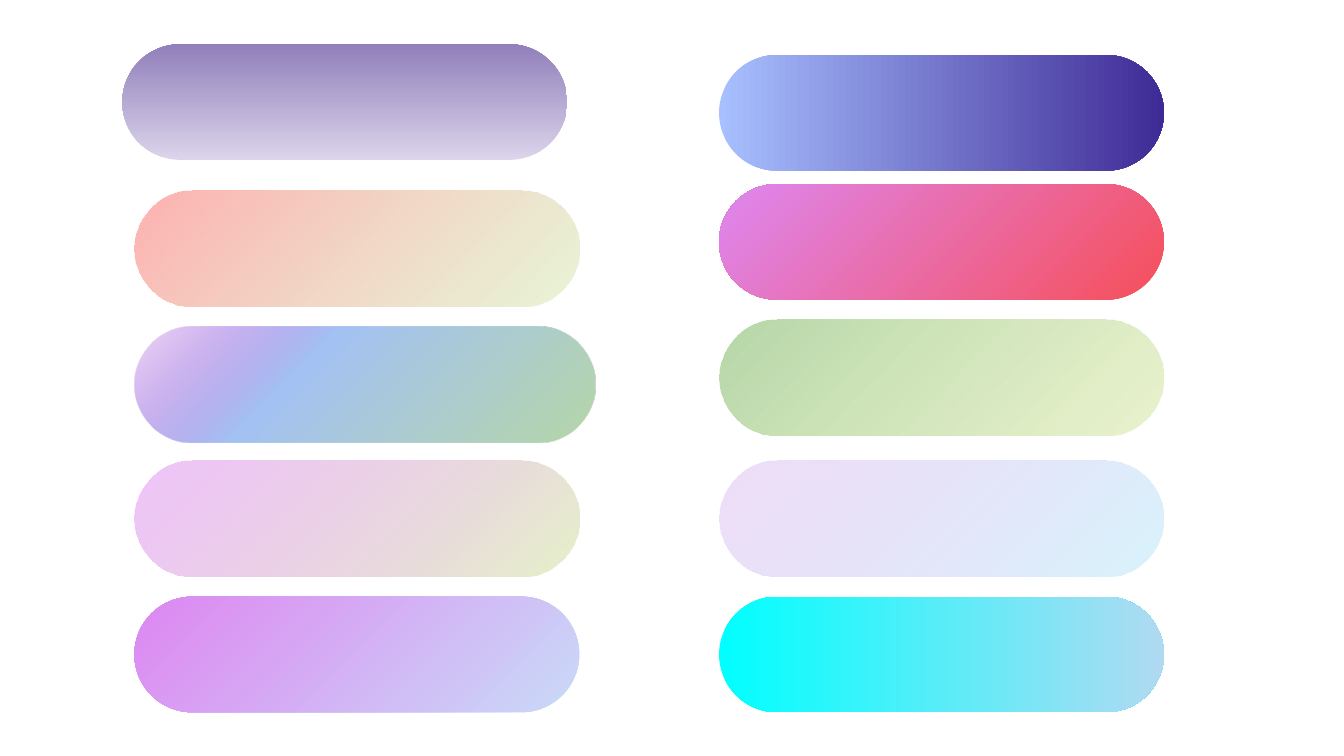
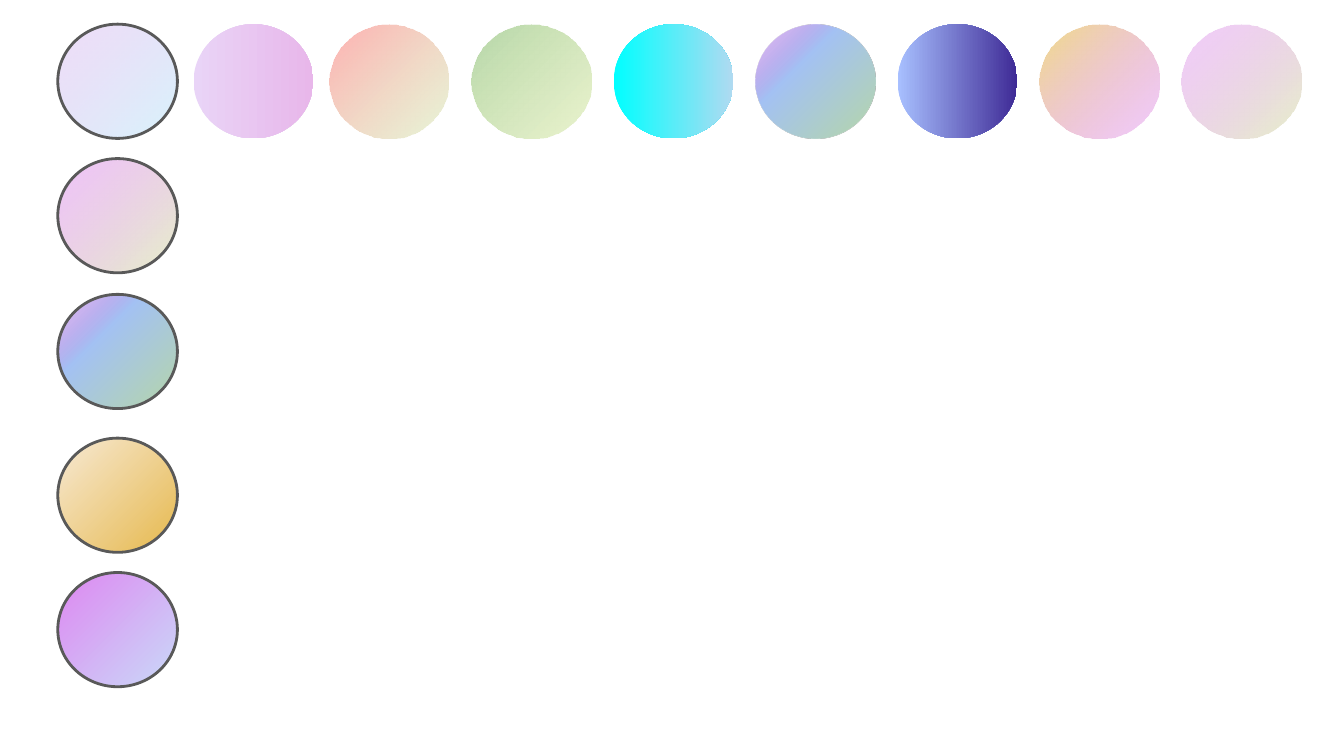
from lxml import etree
from pptx import Presentation
from pptx.dml.color import RGBColor
from pptx.enum.shapes import MSO_SHAPE
from pptx.oxml.ns import qn
from pptx.util import Inches, Pt

PILL, CIRCLE = MSO_SHAPE.ROUNDED_RECTANGLE, MSO_SHAPE.OVAL
BLANK_LAYOUT = 6
SLIDE_W, SLIDE_H = 10, 5.625

COLORS = {
    "outline": "595959", "lilac mist": "DBD4EB", "dusk": "9180BB",
    "periwinkle": "A8C0FF", "indigo": "3F2B96", "lime": "D8EDBA",
    "salmon": "FE9696", "sage": "B6D7A8", "sky": "A4C2F4",
    "violet": "9F39D5", "pistachio": "E0EDBA", "orchid": "DE87F1",
    "pale blue": "C9DAF8", "red": "F64F59", "azure": "69D4F4",
    "cyan": "00FFFF", "ice": "B0DAF1", "pale lilac": "E9D4F7",
    "pink": "E8B7EA", "butter": "F1DD87", "cream": "F7E9D4", "gold": "E6B94E",
}

# Gradient: clockwise angle, then stops of (position %, colour, opacity %)
GRADIENTS = {
    "dusk": (270, (0, "lilac mist", 100), (100, "dusk", 100)),
    "night": (0, (0, "periwinkle", 100), (100, "indigo", 100)),
    "peach": (225, (0, "lime", 58), (100, "salmon", 74)),
    "lagoon": (225, (0, "sage", 100), (64, "sky", 100), (100, "violet", 17)),
    "blossom": (225, (0, "pistachio", 79), (100, "orchid", 48)),
    "soft blossom": (225, (0, "pistachio", 79), (100, "orchid", 40)),
    "orchid": (225, (0, "pale blue", 100), (100, "orchid", 100)),
    "sunset": (225, (0, "red", 100), (100, "orchid", 100)),
    "meadow": (225, (0, "pistachio", 71), (100, "sage", 100)),
    "frost": (225, (0, "azure", 26), (100, "violet", 17)),
    "aqua": (0, (0, "cyan", 100), (100, "ice", 100)),
    "candy": (0, (0, "pale lilac", 100), (100, "pink", 100)),
    "sherbet": (225, (0, "orchid", 40), (100, "butter", 100)),
    "honey": (45, (0, "cream", 100), (100, "gold", 100)),
}

# Slide 1: two columns of pills as (gradient, left, top, width)
PILL_W, PILL_H = 3.31, 0.86
LEFT_X, RIGHT_X = 1, 5.35
PILLS = [
    ("dusk", 0.91, 0.33, PILL_W),
    ("night", RIGHT_X, 0.41, PILL_W),
    ("peach", LEFT_X, 1.42, PILL_W),
    ("lagoon", LEFT_X, 2.43, 3.43),
    ("blossom", LEFT_X, 3.43, PILL_W),
    ("orchid", LEFT_X, 4.44, PILL_W),
    ("sunset", RIGHT_X, 1.37, PILL_W),
    ("meadow", RIGHT_X, 2.38, PILL_W),
    ("frost", RIGHT_X, 3.43, PILL_W),
    ("aqua", RIGHT_X, 4.44, PILL_W),
]

# Slide 2: a row of plain circles and a column of outlined ones
CIRCLE_W, CIRCLE_H = 0.89, 0.85
COLUMN_X, ROW_Y = 0.43, 0.18
NEAR_ROW = ["candy", "peach"]
FAR_ROW = ["meadow", "aqua", "lagoon", "night", "sherbet", "soft blossom"]
NEAR_STEP = 1.01
FAR_FIRST, FAR_LAST = 3.51, 8.79
COLUMN = [("frost", ROW_Y), ("blossom", 1.18), ("lagoon", 2.19),
          ("honey", 3.26), ("orchid", 4.26)]


def fill_gradient(sp, name):
    """Give the shape a linear gradient whose stops may be translucent."""
    angle, *stops = GRADIENTS[name]
    grad = etree.Element(qn("a:gradFill"), rotWithShape="1")
    stop_list = etree.SubElement(grad, qn("a:gsLst"))
    for position, color, opacity in stops:
        stop = etree.SubElement(stop_list, qn("a:gs"), pos=str(position * 1000))
        rgb = etree.SubElement(stop, qn("a:srgbClr"), val=COLORS[color])
        if opacity < 100:
            etree.SubElement(rgb, qn("a:alpha"), val=str(opacity * 1000))
    etree.SubElement(grad, qn("a:lin"), ang=str(angle * 60000), scaled="0")
    sp.element.spPr.find(qn("a:prstGeom")).addnext(grad)


def add_swatch(slide, kind, gradient, x, y, w, h, outlined=False):
    sp = slide.shapes.add_shape(kind, Inches(x), Inches(y), Inches(w), Inches(h))
    sp.shadow.inherit = False
    fill_gradient(sp, gradient)
    if outlined:
        sp.line.color.rgb = RGBColor.from_string(COLORS["outline"])
        sp.line.width = Pt(1.5)
    else:
        sp.line.fill.background()
    return sp


def build_pills(slide):
    for gradient, x, y, w in PILLS:
        sp = add_swatch(slide, PILL, gradient, x, y, w, PILL_H)
        sp.adjustments[0] = 0.5


def build_circles(slide):
    # Top row: the first two follow the column, the rest are spread evenly
    far_step = (FAR_LAST - FAR_FIRST) / (len(FAR_ROW) - 1)
    row = [(g, COLUMN_X + NEAR_STEP * i) for i, g in enumerate(NEAR_ROW, 1)]
    row += [(g, FAR_FIRST + far_step * i) for i, g in enumerate(FAR_ROW)]
    for gradient, x in row:
        add_swatch(slide, CIRCLE, gradient, x, ROW_Y, CIRCLE_W, CIRCLE_H)

    # Left column
    for gradient, y in COLUMN:
        add_swatch(slide, CIRCLE, gradient, COLUMN_X, y, CIRCLE_W, CIRCLE_H,
                   outlined=True)


def main():
    prs = Presentation()
    prs.slide_width, prs.slide_height = Inches(SLIDE_W), Inches(SLIDE_H)
    for build in (build_pills, build_circles):
        build(prs.slides.add_slide(prs.slide_layouts[BLANK_LAYOUT]))
    prs.save("out.pptx")


if __name__ == "__main__":
    main()
